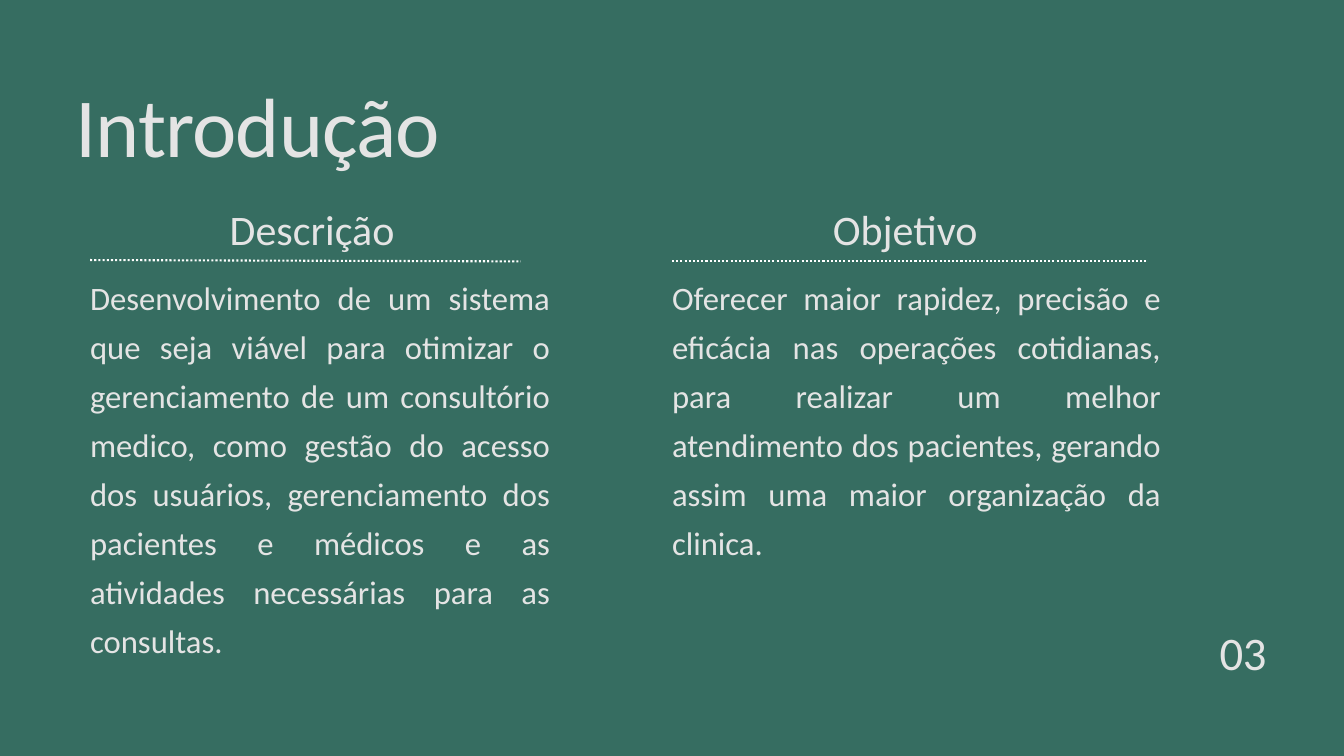
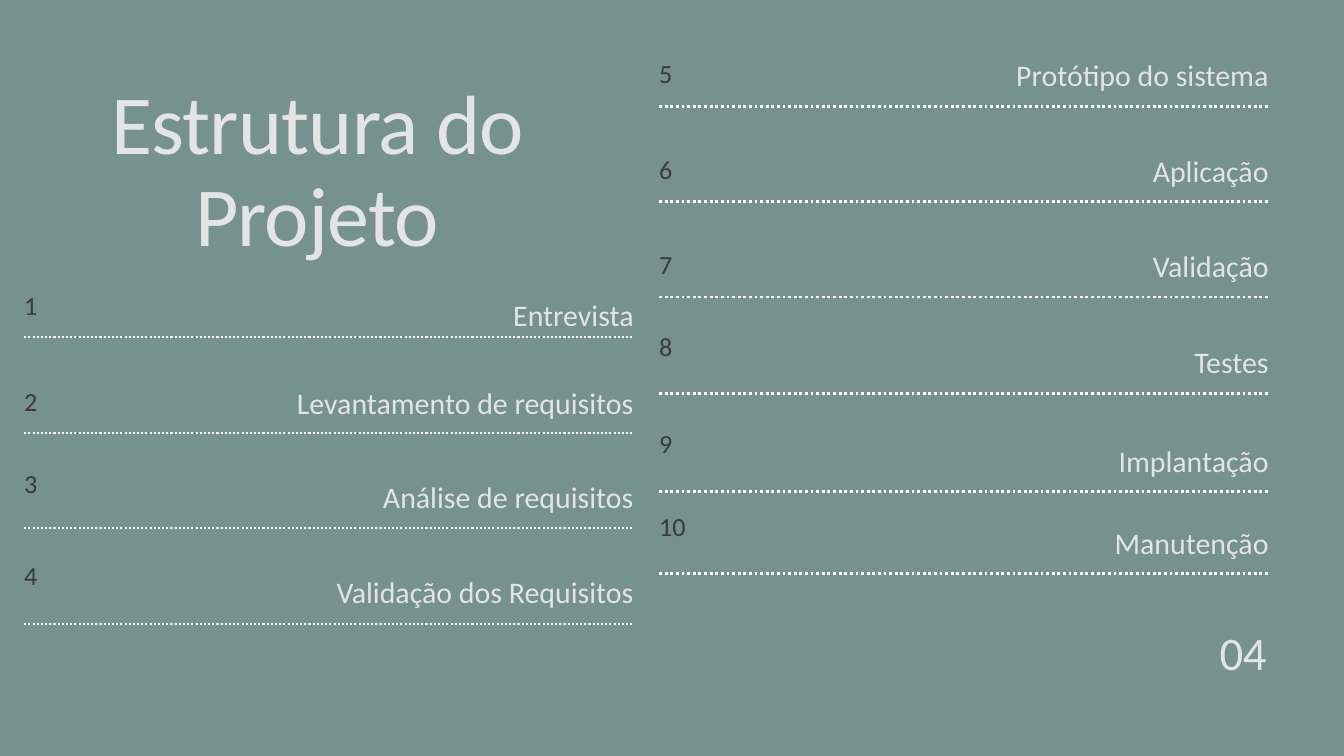
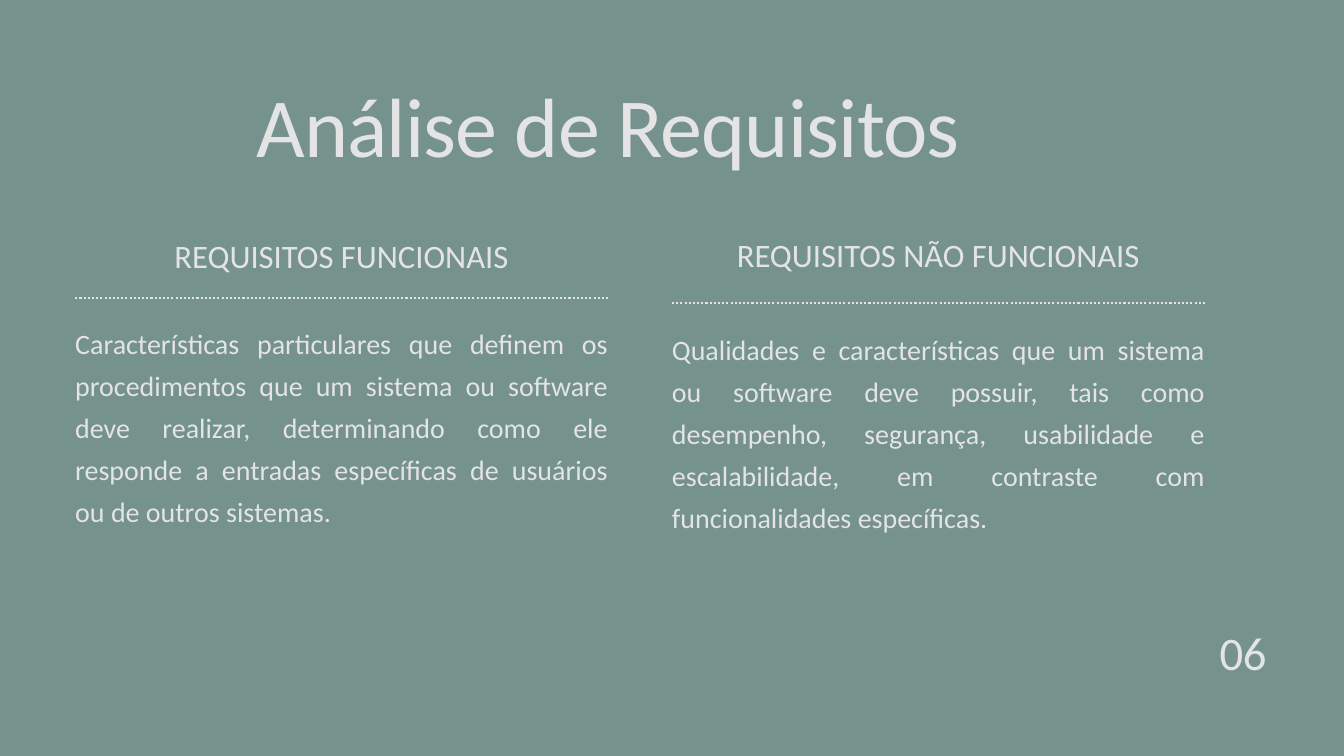
"""Build three slides on a medical practice system: introduction, structure and requirements."""
from dataclasses import dataclass

from lxml.etree import SubElement
from pptx import Presentation
from pptx.dml.color import RGBColor
from pptx.enum.dml import MSO_LINE
from pptx.enum.shapes import MSO_CONNECTOR
from pptx.enum.text import MSO_AUTO_SIZE, PP_ALIGN as Align
from pptx.oxml.ns import qn
from pptx.util import Inches, Pt


@dataclass(frozen=True)
class Theme:
    font: str = "Calibri"
    forest: str = "366D61"
    sage: str = "75928C"
    light: str = "E4E4E4"
    dark: str = "3B3B3B"
    white: str = "FFFFFF"
    title_size: int = 90
    page_size: int = 50
    heading_size: int = 45
    body_size: int = 35
    label_size: int = 32
    small_body_size: int = 30
    index_size: int = 28


THEME = Theme()


def format_text(frame, text, *, size, leading=1.2, align=Align.LEFT, color=THEME.light, tracking=0):
    frame.word_wrap = True
    frame.auto_size = MSO_AUTO_SIZE.SHAPE_TO_FIT_TEXT
    frame.margin_left = frame.margin_right = frame.margin_top = frame.margin_bottom = 0
    paragraph = frame.paragraphs[0]
    paragraph.alignment = align
    paragraph.line_spacing = Pt(size * leading)
    run = paragraph.add_run()
    run.text = text
    run.font.name = THEME.font
    run.font.size = Pt(size)
    run.font.color.rgb = RGBColor.from_string(color)
    if tracking:
        run.font._element.set("spc", str(round(tracking * 100)))


class Deck:
    def __init__(self, theme):
        self.theme = theme
        self.presentation = Presentation()
        self.presentation.slide_width = Inches(20)
        self.presentation.slide_height = Inches(11.25)
        self.slide = None

    def new_slide(self, background, page):
        self.slide = self.presentation.slides.add_slide(self.presentation.slide_layouts[6])
        fill = self.slide.background.fill
        fill.solid()
        fill.fore_color.rgb = RGBColor.from_string(background)
        self.text(page, 18.15, 9.35, 0.72, 0.78, size=self.theme.page_size,
                  leading=1.1, align=Align.JUSTIFY, tracking=-0.5)

    def text(self, text, left, top, width, height, **text_format):
        shape = self.slide.shapes.add_textbox(
            Inches(left), Inches(top), Inches(width), Inches(height))
        format_text(shape.text_frame, text, **text_format)

    def title(self, text, left, top, width, height=1.41, align=Align.CENTER):
        self.text(text, left, top, width, height, size=self.theme.title_size,
                  leading=1.1, align=align, tracking=-0.9)

    def heading(self, text, left, top, width, height, size, leading):
        self.text(text, left, top, width, height, size=size, leading=leading, align=Align.CENTER)

    def body(self, text, left, top, width, height, size):
        self.text(text, left, top, width, height, size=size, leading=1.5, align=Align.JUSTIFY)

    def rule(self, left, top, right, bottom=None, color=THEME.white, weight=2.25):
        end = top if bottom is None else bottom
        connector = self.slide.shapes.add_connector(
            MSO_CONNECTOR.STRAIGHT, Inches(left), Inches(top), Inches(right), Inches(end))
        connector.line.color.rgb = RGBColor.from_string(color)
        connector.line.width = Pt(weight)
        connector.line.dash_style = MSO_LINE.ROUND_DOT
        SubElement(connector._element.spPr, qn("a:effectLst"))

    def step(self, number, label, left, right, rule_top, label_top, number_top, weight, label_width):
        self.text(label, right - label_width, label_top, label_width, 0.54,
                  size=self.theme.label_size, align=Align.RIGHT)
        self.rule(left, rule_top, right, weight=weight)
        self.text(str(number), left, number_top, 0.95, 0.45,
                  size=self.theme.index_size, color=self.theme.dark)


def add_introduction(deck):
    theme = deck.theme
    deck.new_slide(theme.forest, "03")
    deck.title("Introdução", 1.12, 1.22, 12.35, align=Align.LEFT)
    deck.heading("Descrição", 3.22, 2.91, 2.85, 0.84, theme.heading_size, 1.4)
    deck.rule(1.34, 3.87, 7.75, 3.89)
    deck.body("Desenvolvimento de um sistema que seja viável para otimizar o gerenciamento de um "
              "consultório medico, como gestão do acesso dos usuários, gerenciamento dos pacientes "
              "e médicos e as atividades necessárias para as consultas.",
              1.34, 3.99, 6.85, 5.8, theme.body_size)
    deck.heading("Objetivo", 12.01, 2.91, 2.92, 0.84, theme.heading_size, 1.4)
    deck.rule(10, 3.89, 17.09)
    deck.body("Oferecer maior rapidez, precisão e eficácia nas operações cotidianas, para realizar "
              "um melhor atendimento dos pacientes, gerando assim uma maior organização da clinica.",
              10, 3.99, 7.28, 3.61, theme.body_size)


def add_structure(deck):
    deck.new_slide(deck.theme.sage, "04")
    deck.title("Estrutura do Projeto", 1.12, 1.17, 7.2, 2.78)
    first_steps = [
        ("Entrevista", 5.02, 4.42, 4.31),
        ("Levantamento de requisitos", 6.44, 5.72, 5.73),
        ("Análise de requisitos", 7.86, 7.13, 6.95),
        ("Validação dos Requisitos", 9.28, 8.54, 8.33),
    ]
    last_steps = [
        ("Protótipo do sistema", 1.58, 0.85, 0.86),
        ("Aplicação", 3, 2.27, 2.28),
        ("Validação", 4.42, 3.69, 3.7),
        ("Testes", 5.85, 5.12, 4.92),
        ("Implantação", 7.31, 6.59, 6.36),
        ("Manutenção", 8.54, 7.81, 7.59),
    ]
    columns = [(first_steps, 1, 0.36, 9.43, 2.25), (last_steps, 5, 9.81, 18.88, 3)]
    for steps, first_number, left, right, weight in columns:
        for number, (label, rule_top, label_top, number_top) in enumerate(steps, first_number):
            label_width = 6.22 if len(label) > 25 else 4.87
            deck.step(number, label, left, right, rule_top, label_top, number_top,
                      weight, label_width)


def add_requirements(deck):
    theme = deck.theme
    deck.new_slide(theme.sage, "06")
    deck.title("Análise de Requisitos", 3.6, 1.22, 10.9)
    width = 7.93
    columns = [
        (1.12, "REQUISITOS FUNCIONAIS", 3.51, 4.44, 4.73, 3.1,
         "Características particulares que definem os procedimentos que um sistema ou software "
         "deve realizar, determinando como ele responde a entradas específicas de usuários ou "
         "de outros sistemas."),
        (10, "REQUISITOS NÃO FUNCIONAIS", 3.5, 4.51, 4.82, 2.48,
         "Qualidades e características que um sistema ou software deve possuir, tais como "
         "desempenho, segurança, usabilidade e escalabilidade, em contraste com "
         "funcionalidades específicas."),
    ]
    for left, heading, heading_top, rule_top, body_top, body_height, body in columns:
        deck.heading(heading, left, heading_top, width, 0.58, theme.body_size, 1.2)
        deck.rule(left, rule_top, left + width, color=theme.light)
        deck.body(body, left, body_top, width, body_height, theme.small_body_size)


def main():
    deck = Deck(THEME)
    add_introduction(deck)
    add_structure(deck)
    add_requirements(deck)
    deck.presentation.save("out.pptx")


if __name__ == "__main__":
    main()
